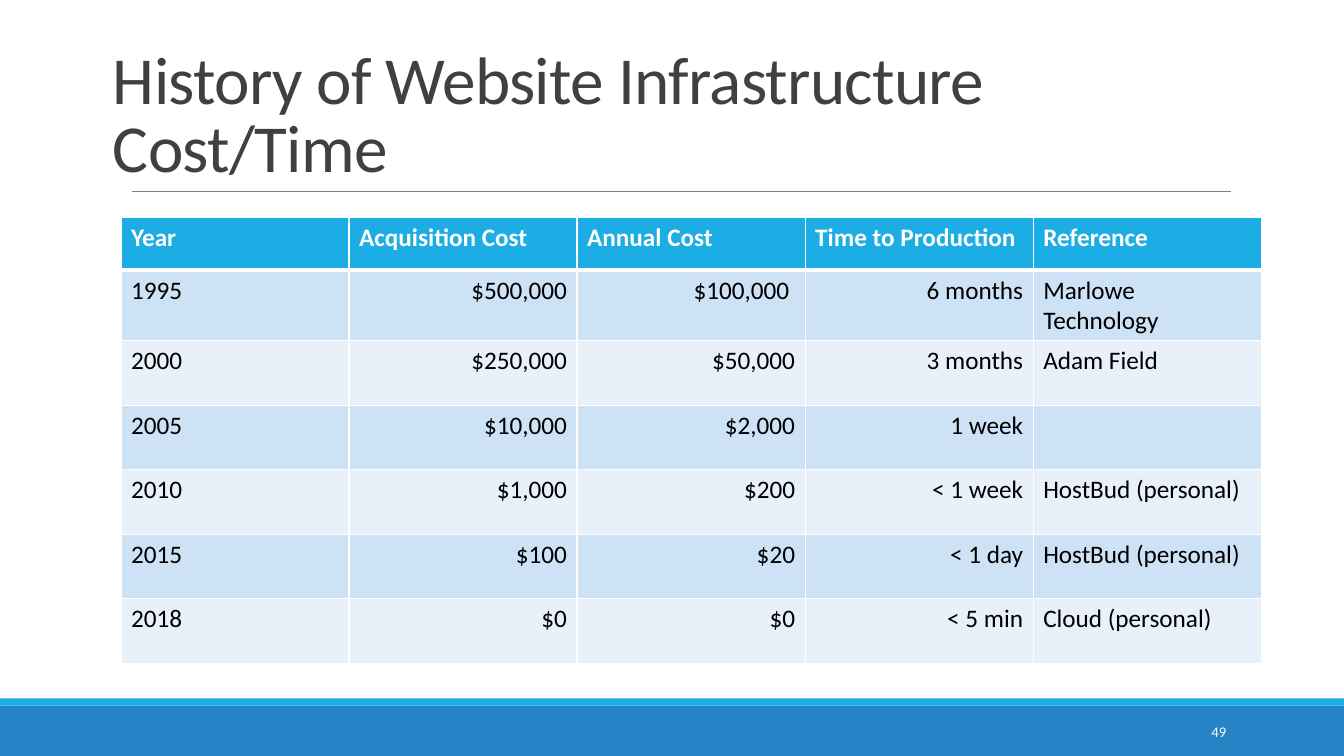
from lxml import etree
from pptx import Presentation
from pptx import util as u
from pptx.dml.color import RGBColor
from pptx.enum import shapes, text
from pptx.oxml.ns import qn

TITLE = "History of Website Infrastructure Cost/Time"
PAGE = "49"
ROWS = [
    ("Year", "Acquisition Cost", "Annual Cost", "Time to Production", "Reference"),
    ("1995", "$500,000", "$100,000 ", "6 months", "Marlowe Technology"),
    ("2000", "$250,000", "$50,000", "3 months", "Adam Field"),
    ("2005", "$10,000", "$2,000", "1 week", ""),
    ("2010", "$1,000", "$200", "< 1 week", "HostBud (personal)"),
    ("2015", "$100", "$20", "< 1 day", "HostBud (personal)"),
    ("2018", "$0", "$0", "< 5 min", "Cloud (personal)"),
]
RIGHT_COLUMNS = (1, 2, 3)
THEME = {
    "font": "Calibri",
    "title": {"size": 48, "color": "404040"},
    "page": {"size": 10.5, "color": "FFFFFF"},
    "header": {"size": 18, "color": "FFFFFF", "bold": True},
    "body": {"size": 18, "color": "000000", "bold": False},
    "accent": "1CADE4",
    "footer": "2683C6",
    "rule": "808080",
    "border": "FFFFFF",
    "bands": ("CDE3F5", "E8F1FA"),
}
TABLE_BOX = (1.2, 2.16, 11.31, 4.33)
HEADER_HEIGHT, ROW_HEIGHT = 0.52, 0.64
BARS = [((0, 7, 13.33, 0.5), "footer"), ((0, 6.93, 13.33, 0.07), "accent")]


def inches(values):
    return [u.Inches(v) for v in values]


def rgb(value):
    return RGBColor.from_string(value)


def apply(target, values):
    for name, value in values.items():
        setattr(target, name, value)


def paint(target, color):
    target.fill.solid()
    target.fill.fore_color.rgb = rgb(color)


def write(p, words, style, align=text.PP_ALIGN.LEFT):
    p.alignment = align
    r = p.add_run()
    r.text = words
    apply(r.font, {"name": THEME["font"], "size": u.Pt(style["size"]),
                   "bold": style.get("bold", False)})
    r.font.color.rgb = rgb(style["color"])
    return r


def add_border(cell, side, points):
    ln = etree.SubElement(cell._tc.get_or_add_tcPr(), qn("a:ln" + side),
                          w=str(u.Pt(points)))
    fill = etree.SubElement(ln, qn("a:solidFill"))
    etree.SubElement(fill, qn("a:srgbClr"), val=THEME["border"])


def add_frame(s):
    for box, color in BARS:
        sp = s.shapes.add_shape(shapes.MSO_SHAPE.RECTANGLE, *inches(box))
        sp.shadow.inherit = False
        paint(sp, THEME[color])
        sp.line.fill.background()
    rule = s.shapes.add_connector(shapes.MSO_CONNECTOR.STRAIGHT,
                                  *inches((1.31, 1.9, 12.21, 1.9)))
    rule.line.color.rgb = rgb(THEME["rule"])
    rule.line.width = u.Pt(0.5)
    etree.SubElement(rule._element.spPr, qn("a:effectLst"))


def add_title(s):
    sp = s.shapes.title
    apply(sp, dict(zip(("left", "top", "width", "height"),
                       inches((1.02, 0.31, 11.67, 1.59)))))
    tf = sp.text_frame
    apply(tf, {"word_wrap": True, "vertical_anchor": text.MSO_ANCHOR.BOTTOM,
               "auto_size": text.MSO_AUTO_SIZE.NONE, "margin_right": u.Inches(0.2)})
    p = tf.paragraphs[0]
    p.line_spacing = 0.85
    r = write(p, TITLE, THEME["title"])
    r.font._element.set("spc", "-50")


def add_page_number(s):
    tf = s.shapes.add_textbox(*inches((10.83, 7.06, 1.43, 0.4))).text_frame
    apply(tf, {"word_wrap": True, "vertical_anchor": text.MSO_ANCHOR.MIDDLE})
    write(tf.paragraphs[0], PAGE, THEME["page"], text.PP_ALIGN.RIGHT)


def add_cost_table(s):
    table = s.shapes.add_table(len(ROWS), len(ROWS[0]), *inches(TABLE_BOX)).table
    for i, values in enumerate(ROWS):
        header = i == 0
        table.rows[i].height = u.Inches(HEADER_HEIGHT if header else ROW_HEIGHT)
        style = THEME["header" if header else "body"]
        color = THEME["accent"] if header else THEME["bands"][(i - 1) % 2]
        widths = {"L": 1, "R": 1, "T": 3 if i == 1 else 1, "B": 3 if header else 1}
        for j, value in enumerate(values):
            cell = table.cell(i, j)
            for side, points in widths.items():
                add_border(cell, side, points)
            paint(cell, color)
            right = not header and j in RIGHT_COLUMNS
            align = text.PP_ALIGN.RIGHT if right else text.PP_ALIGN.LEFT
            if value:
                write(cell.text_frame.paragraphs[0], value, style, align)


def main():
    prs = Presentation()
    prs.slide_width, prs.slide_height = inches((13.33, 7.5))
    s = prs.slides.add_slide(prs.slide_layouts[5])
    add_frame(s)
    add_title(s)
    add_page_number(s)
    add_cost_table(s)
    prs.save("out.pptx")


if __name__ == "__main__":
    main()
